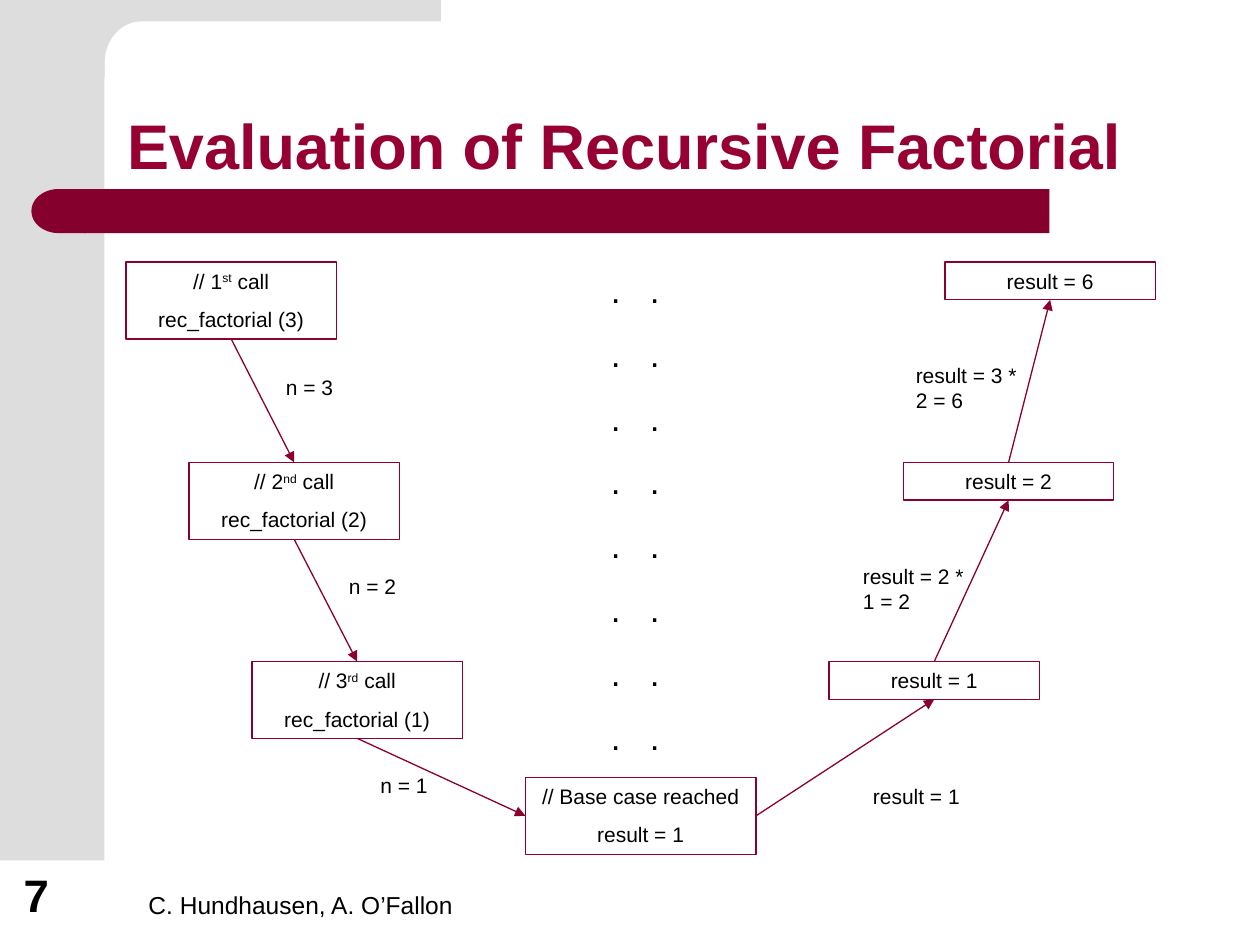
from math import cos, pi, sin

from lxml.etree import SubElement
from pptx import Presentation
from pptx.dml.color import RGBColor
from pptx.enum.shapes import MSO_CONNECTOR, MSO_SHAPE
from pptx.enum.text import MSO_ANCHOR, MSO_AUTO_SIZE, PP_ALIGN
from pptx.oxml.ns import qn
from pptx.util import Inches, Pt

COLORS = {
    "panel": "DDDDDD",
    "bar": "86002D",
    "line": "8A002E",
    "title": "960032",
    "text": "000000",
}


def color(name):
    return RGBColor.from_string(COLORS[name])


def write_text(shape, lines, size=12, bold=False, ink="text", align=PP_ALIGN.LEFT,
               anchor=MSO_ANCHOR.TOP, grow=True, gap=7.5, spacing=None, tab=None):
    frame = shape.text_frame
    frame.word_wrap = True
    frame.vertical_anchor = anchor
    frame.auto_size = MSO_AUTO_SIZE.SHAPE_TO_FIT_TEXT if grow else MSO_AUTO_SIZE.NONE
    for index, line in enumerate(lines):
        paragraph = frame.add_paragraph() if index else frame.paragraphs[0]
        paragraph.alignment = align
        if index:
            paragraph.space_before = Pt(gap)
        if spacing:
            paragraph.line_spacing = spacing
        if tab:
            tabs = SubElement(paragraph._p.get_or_add_pPr(), qn("a:tabLst"))
            SubElement(tabs, qn("a:tab"), pos=str(Inches(tab)), algn="l")
        for part_index, part in enumerate(line.split("^")):
            run = paragraph.add_run()
            run.text = part
            run.font.name = "Arial"
            run.font.size = Pt(size)
            run.font.bold = bold
            run.font.color.rgb = color(ink)
            if part_index % 2:
                run._r.get_or_add_rPr().set("baseline", "30000")


presentation = Presentation()
presentation.slide_width = Inches(10)
presentation.slide_height = Inches(7.5)
slide = presentation.slides.add_slide(presentation.slide_layouts[6])
shapes = slide.shapes

side_panel = shapes.add_shape(MSO_SHAPE.RECTANGLE, 0, 0, Inches(0.83), Inches(6.83))

arc = [(1.12 - 0.29 * sin(step * pi / 24), 0.5 - 0.33 * cos(step * pi / 24))
       for step in range(13)]
outline = [(3.5, 0.17), *arc, (0.83, 0.61), (0.5, 0.61), (0.5, 0)]
builder = shapes.build_freeform(Inches(3.5), 0)
builder.add_line_segments([(Inches(x), Inches(y)) for x, y in outline])
corner = builder.convert_to_shape()

bar = shapes.add_shape(MSO_SHAPE.RECTANGLE, Inches(0.67), Inches(1.5), Inches(7.66), Inches(0.35))
bar_end = shapes.add_shape(MSO_SHAPE.FLOWCHART_DELAY, Inches(0.25), Inches(1.5),
                           Inches(0.43), Inches(0.35))
bar_end._element.spPr.xfrm.set("flipH", "1")

for shape, fill in ((side_panel, "panel"), (corner, "panel"), (bar, "bar"), (bar_end, "bar")):
    shape.shadow.inherit = False
    shape.fill.solid()
    shape.fill.fore_color.rgb = color(fill)
    shape.line.fill.background()

bottom = {"anchor": MSO_ANCHOR.BOTTOM, "grow": False}
texts = [
    (1.08, 6.83, 3.75, 0.52, ["C. Hundhausen, A. O’Fallon"], {"size": 14, **bottom}),
    (0.09, 6.83, 0.64, 0.53, ["7"], {"size": 26, "bold": True, **bottom}),
    (0.91, 0.41, 8.51, 1.09, ["Evaluation of Recursive Factorial"],
     {"size": 36, "bold": True, "ink": "title", "spacing": 0.9, **bottom}),
    (2.17, 2.92, 1, 0.3, ["n = 3"], {}),
    (2.67, 4.5, 1, 0.3, ["n = 2"], {}),
    (2.92, 6.08, 1, 0.3, ["n = 1"], {}),
    (4.75, 2.08, 0.83, 3.99, [".\t."] * 8, {"size": 20, "gap": 12.5, "tab": 0.31}),
    (7.17, 2.83, 1, 0.5, ["result = 3 * 2 = 6"], {}),
    (6.75, 4.42, 1, 0.5, ["result = 2 * 1 = 2"], {}),
    (6.83, 6.17, 1, 0.3, ["result = 1"], {}),
]
for left, top, width, height, lines, style in texts:
    text_box = shapes.add_textbox(Inches(left), Inches(top), Inches(width), Inches(height))
    write_text(text_box, lines, **style)

boxes = [
    (1, 2.08, 1.67, ["// 1^st^ call", "rec_factorial (3)"]),
    (1.5, 3.67, 1.67, ["// 2^nd^ call", "rec_factorial (2)"]),
    (2, 5.25, 1.67, ["// 3^rd^ call", "rec_factorial (1)"]),
    (4.17, 6.17, 1.83, ["// Base case reached", "result = 1"]),
    (6.58, 5.25, 1.67, ["result = 1"]),
    (7.17, 3.67, 1.67, ["result = 2"]),
    (7.5, 2.08, 1.67, ["result = 6"]),
]
steps = []
for left, top, width, lines in boxes:
    height = 0.61 if len(lines) == 2 else 0.3
    box = shapes.add_shape(MSO_SHAPE.RECTANGLE, Inches(left), Inches(top),
                           Inches(width), Inches(height))
    box.shadow.inherit = False
    box.fill.background()
    box.line.color.rgb = color("line")
    box.line.width = Pt(0.75)
    write_text(box, lines, align=PP_ALIGN.CENTER)
    steps.append(box)

sides = [(2, 0), (2, 0), (2, 1), (3, 2), (0, 2), (0, 2)]
for start, end, (start_side, end_side) in zip(steps, steps[1:], sides):
    arrow = shapes.add_connector(MSO_CONNECTOR.STRAIGHT, 0, 0, 0, 0)
    arrow.begin_connect(start, start_side)
    arrow.end_connect(end, end_side)
    arrow.line.color.rgb = color("line")
    arrow.line.width = Pt(0.75)
    SubElement(arrow.line._get_or_add_ln(), qn("a:tailEnd"), type="triangle")
    SubElement(arrow._element.spPr, qn("a:effectLst"))

presentation.save("out.pptx")
